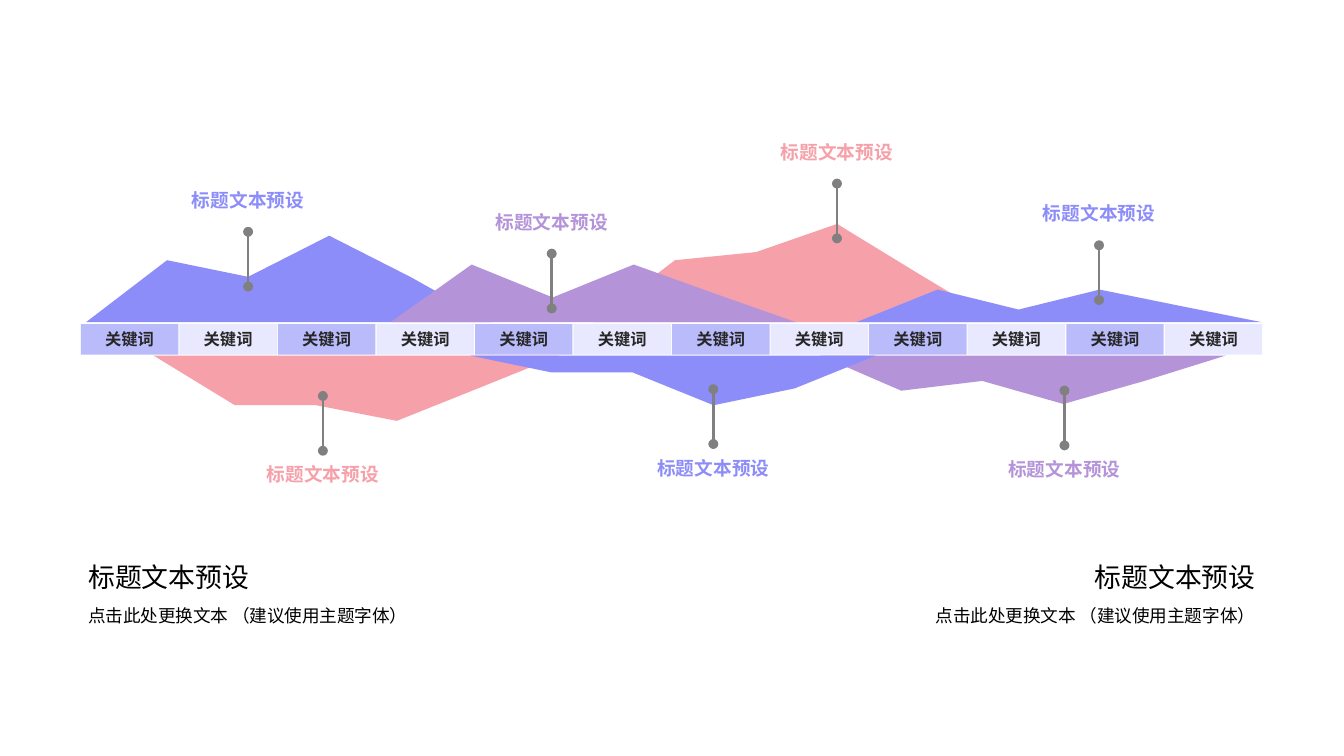
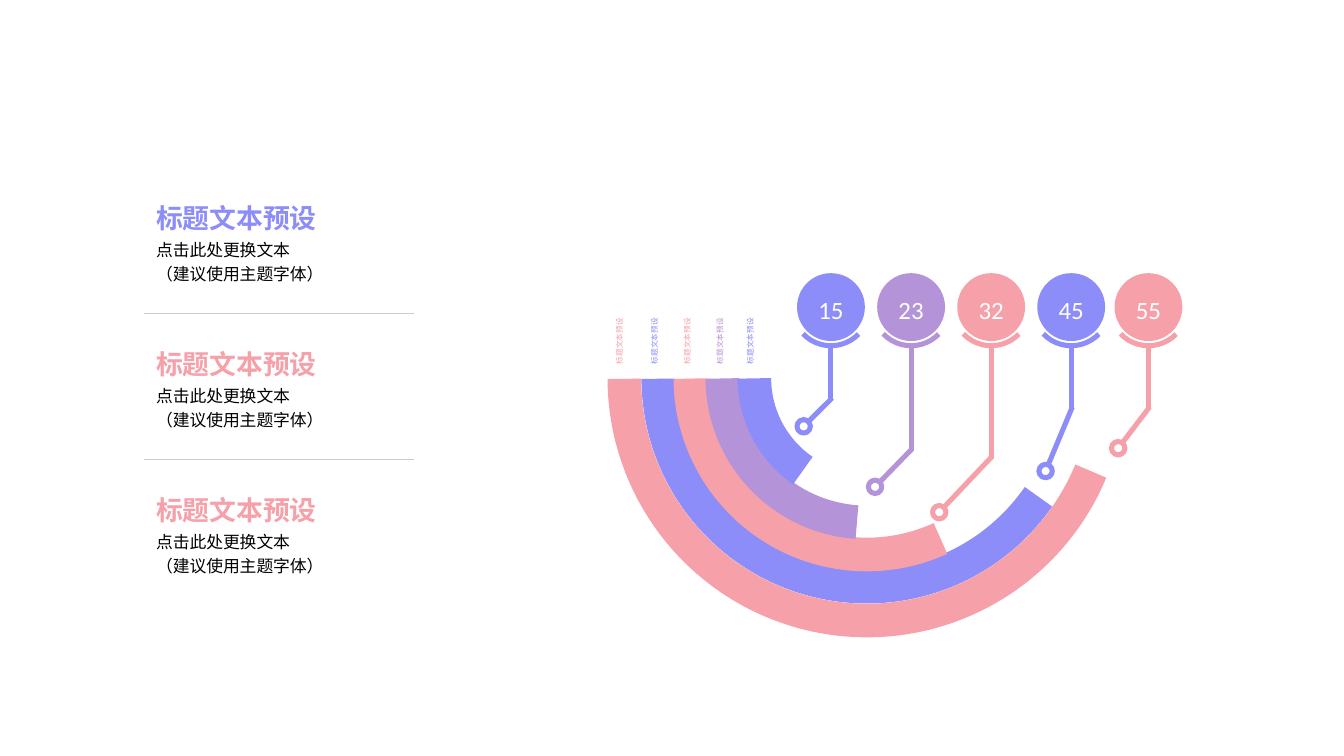
"""Build a two-slide deck: a keyword timeline and a ring chart with callouts."""
from dataclasses import dataclass
from math import hypot

from lxml import etree
from pptx import Presentation
from pptx.dml.color import RGBColor
from pptx.enum import shapes, text
from pptx.oxml import ns
from pptx.util import Pt


@dataclass(frozen=True)
class Theme:
    blue: str = "8C8DF9"
    purple: str = "B493D9"
    pink: str = "F6A0A9"
    cell_dark: str = "BABBFB"
    cell_light: str = "E8E8FE"
    ink: str = "000000"
    keyword_ink: str = "262626"
    white: str = "FFFFFF"
    pin: str = "808080"
    rule: str = "CCCCCC"
    font: str = "Calibri"
    heading: float = 16
    number: float = 14.8
    pin_label: float = 11.1
    note: float = 10.5
    body: float = 10
    keyword: float = 9.7
    ring_label: float = 4.5


T = Theme()
SHAPE = shapes.MSO_SHAPE
ALIGN = text.PP_ALIGN
ANCHOR = text.MSO_ANCHOR
WIDTH, HEIGHT = 800, 450

HEADING = "标题文本预设"
NOTE = "点击此处更换文本 （建议使用主题字体）"
BODY = ["点击此处更换文本", "（建议使用主题字体）"]
KEYWORDS = ["关键词"] * 12

UP, DOWN = -1, 1
BASELINE = {UP: 191.8, DOWN: 211.7}
PEAK_STEP = 48.25
HILLS = [
    (T.pink, UP, 353.5, [36.9, 41.7, 58.5, 29]),
    (T.blue, UP, 51.2, [36.9, 27, 51.5, 27]),
    (T.purple, DOWN, 488.2, [20.9, 15.1, 28.8, 15.1]),
    (T.purple, UP, 232.5, [34.3, 14.7, 34.3, 17]),
    (T.blue, UP, 509.8, [19.4, 7.5, 19.4, 9.6]),
    (T.pink, DOWN, 91.5, [29.5, 29.5, 38.8, 19.5]),
    (T.blue, DOWN, 280, [10, 10, 29.5, 19.5]),
]
PINS = [
    (T.blue, UP, 147.7, 138),
    (T.purple, UP, 328.4, 151),
    (T.pink, UP, 498.2, 109.3),
    (T.blue, UP, 654.2, 146),
    (T.pink, DOWN, 192.2, 235.7),
    (T.blue, DOWN, 424.6, 231.7),
    (T.purple, DOWN, 633.6, 232.5),
]

BLOCK_COLORS = [T.blue, T.pink, T.pink]
RINGS = [
    (T.blue, 248.4, 34.69, 389.5),
    (T.pink, 210.2, 65.37, 409),
    (T.purple, 172, 93.91, 428.4),
    (T.blue, 134, 124.66, 446.4),
    (T.pink, 288.7, 22.57, 368.6),
]
CALLOUTS = [
    ("15", T.blue, 494.6, 237.6, (478.4, 253.8)),
    ("23", T.purple, 542.3, 267.8, (520.9, 289.8)),
    ("32", T.pink, 590, 272.2, (559.1, 304.9)),
    ("45", T.blue, 637.6, 243, (622.4, 280.4)),
    ("55", T.pink, 683.6, 243, (665.6, 266.8)),
]


def write(shape, content, *, size, color=T.ink, bold=False, align=ALIGN.LEFT,
          anchor=ANCHOR.MIDDLE, inset=(0, 0), spacing=1.0):
    """Put one line or a list of lines into a shape; inset is (left, top)."""
    frame = shape.text_frame
    frame.auto_size = text.MSO_AUTO_SIZE.NONE
    frame.word_wrap = True
    frame.vertical_anchor = anchor
    frame.margin_left, frame.margin_top = (Pt(gap) for gap in inset)
    frame.margin_right = frame.margin_bottom = 0
    lines = [content] if isinstance(content, str) else content
    for i, line in enumerate(lines):
        paragraph = frame.add_paragraph() if i else frame.paragraphs[0]
        paragraph.alignment = align
        paragraph.line_spacing = spacing
        run = paragraph.add_run()
        run.text = line
        run.font.name = T.font
        run.font.size = Pt(size)
        run.font.bold = bold
        run.font.color.rgb = RGBColor.from_string(color)


def add_text(slide, box, content, title=False, **style):
    """Add text in a box, in the title placeholder when it is the title."""
    place = [Pt(length) for length in box]
    if title:
        holder = slide.shapes.title
        holder.left, holder.top, holder.width, holder.height = place
    else:
        holder = slide.shapes.add_textbox(*place)
    write(holder, content, **style)
    return holder


def paint(shape, fill=None, line=None, weight=0):
    """Set fill and outline and drop the shadow."""
    shape.shadow.inherit = False
    if fill:
        shape.fill.solid()
        shape.fill.fore_color.rgb = RGBColor.from_string(fill)
    else:
        shape.fill.background()
    if line:
        shape.line.color.rgb = RGBColor.from_string(line)
        shape.line.width = Pt(weight)
    else:
        shape.line.fill.background()
    return shape


def add_shape(slide, kind, box, **look):
    """Add a painted preset shape."""
    return paint(slide.shapes.add_shape(kind, *(Pt(v) for v in box)), **look)


def around(x, y, diameter):
    """Return the square box around a centre."""
    return x - diameter / 2, y - diameter / 2, diameter, diameter


def add_arc(slide, center, diameter, degrees, color, weight):
    """Add an open arc between two angles, clockwise from the right."""
    arc = add_shape(slide, SHAPE.ARC, around(*center, diameter),
                    line=color, weight=weight)
    for i, angle in enumerate(degrees):
        arc.adjustments[i] = angle * 0.6


def add_line(slide, start, end, color, weight, dots=False):
    """Add a straight line, with round dots at both ends if asked."""
    line = slide.shapes.add_connector(
        shapes.MSO_CONNECTOR.STRAIGHT, *(Pt(v) for v in (*start, *end)))
    line.line.color.rgb = RGBColor.from_string(color)
    line.line.width = Pt(weight)
    if dots:
        outline = line.line.fill._xPr
        for tag in ("a:headEnd", "a:tailEnd"):
            etree.SubElement(outline, ns.qn(tag), type="oval")
    etree.SubElement(line._element.spPr, ns.qn("a:effectLst"))


def add_hill(slide, color, side, left, heights):
    """Add a jagged area that rises or hangs from the keyword band."""
    points = [(Pt(left + i * PEAK_STEP), Pt(BASELINE[side] + side * height))
              for i, height in enumerate([0, *heights, 0])]
    outline = slide.shapes.build_freeform(*points[0])
    outline.add_line_segments(points[1:], close=True)
    paint(outline.convert_to_shape(), fill=color)


def add_pin(slide, color, side, x, top):
    """Add a dotted pin and its label on the outer end."""
    length, label_width, label_height = 32.6, 80, 18
    add_line(slide, (x, top), (x, top + length), T.pin, 1.5, dots=True)
    label_top = top - 28 if side == UP else top + length + 5
    add_text(slide, (x - label_width / 2, label_top, label_width, label_height),
             HEADING, size=T.pin_label, color=color, bold=True,
             align=ALIGN.CENTER)


def timeline_slide(slide):
    """Fill the keyword timeline slide."""
    for hill in HILLS:
        add_hill(slide, *hill)

    left, top, pitch, width, height = 48.2, 192.9, 58.65, 58, 18.2
    for i, keyword in enumerate(KEYWORDS):
        cell = add_shape(slide, SHAPE.RECTANGLE,
                         (left + i * pitch, top, width, height),
                         fill=T.cell_light if i % 2 else T.cell_dark)
        write(cell, keyword, size=T.keyword, color=T.keyword_ink, bold=True,
              align=ALIGN.CENTER)

    for pin in PINS:
        add_pin(slide, *pin)

    margin, width = 52.6, 252.8
    for x, align in ((margin, ALIGN.LEFT), (WIDTH - margin - width, ALIGN.RIGHT)):
        add_text(slide, (x, 334.8, width, 17.4), HEADING,
                 title=align == ALIGN.LEFT, size=T.heading, align=align)
        add_text(slide, (x, 353, width, 23.8), NOTE, size=T.note, align=align,
                 spacing=1.2)


def add_callout(slide, number, color, x, bend, target):
    """Add a numbered disc with a bent stem that ends in a small ring."""
    disc_y, stem_top, ring, overlap = 182.8, 206, 8, 0.7
    add_shape(slide, SHAPE.OVAL, around(*target, ring), line=color, weight=3)
    add_line(slide, (x, bend + overlap), (x, stem_top), color, 3)
    dx, dy = x - target[0], bend - target[1]
    reach = ring / 2 / hypot(dx, dy)
    add_line(slide, (x + overlap, bend - overlap),
             (target[0] + dx * reach, target[1] + dy * reach), color, 3)
    add_arc(slide, (x, disc_y), 46, (44.29, 136.27), color, 3)
    disc = add_shape(slide, SHAPE.OVAL, around(x, disc_y, 40.4), fill=color)
    write(disc, number, size=T.number, color=T.white, align=ALIGN.CENTER,
          inset=(0, 3))


def rings_slide(slide):
    """Fill the ring chart slide."""
    left, top, pitch, width = 92.9, 120, 87, 171.4
    for i, color in enumerate(BLOCK_COLORS):
        y = top + i * pitch
        add_text(slide, (left, y, width, 20), HEADING, title=i == 0,
                 size=T.heading, color=color, bold=True, anchor=ANCHOR.TOP)
        add_text(slide, (left, y + 20.2, width, 33), BODY, size=T.body,
                 anchor=ANCHOR.TOP, spacing=1.2)
        if i:
            rule_y = y - 20.5
            add_line(slide, (85.7, rule_y), (246.2, rule_y), T.rule, 0.5)

    label_width, label_height, label_y = 80.6, 13, 183.6
    for color, diameter, end, label_x in RINGS:
        add_arc(slide, (516, 225), diameter, (end, 179.8), color, 20)
        label = add_text(slide, (label_x - label_width / 2,
                                 label_y - label_height / 2,
                                 label_width, label_height),
                         HEADING, size=T.ring_label, color=color,
                         inset=(7.2, 0))
        label.rotation = 270

    for callout in CALLOUTS:
        add_callout(slide, *callout)


def main():
    """Build and save the deck."""
    deck = Presentation()
    deck.slide_width, deck.slide_height = Pt(WIDTH), Pt(HEIGHT)
    title_only = deck.slide_layouts[5]
    for fill_slide in (timeline_slide, rings_slide):
        fill_slide(deck.slides.add_slide(title_only))
    deck.save("out.pptx")


if __name__ == "__main__":
    main()
